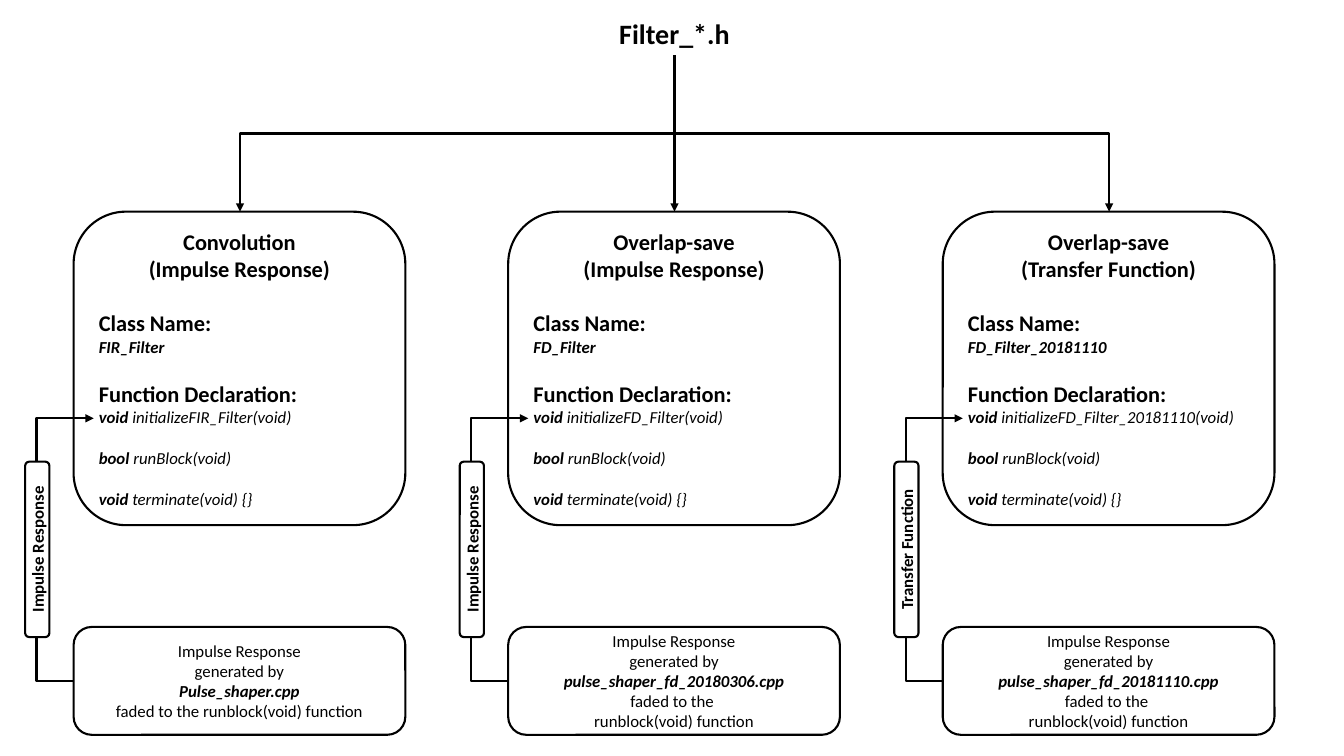
from pptx import Presentation
from pptx.dml.color import RGBColor
from pptx.enum import shapes, text
from pptx.oxml import ns
from pptx.util import Inches, Pt
from lxml import etree

BLACK = RGBColor(0x00, 0x00, 0x00)
WHITE = RGBColor(0xFF, 0xFF, 0xFF)
FONT = "Calibri"
CENTER, LEFT = text.PP_ALIGN.CENTER, text.PP_ALIGN.LEFT

# Column layout
FIRST_LEFT, COLUMN_STEP, BOX_WIDTH = 0.73, 4.31, 3.29
CLASS_TOP, CLASS_HEIGHT = 2.1, 3.11
SOURCE_TOP, SOURCE_HEIGHT = 6.22, 1.07
HEADER_BOTTOM, HEADER_CENTER = 0.55, 6.69

SPLIT_ENDING = ["faded to the ", "runblock(void) function"]
FILTERS = [
    dict(method="Convolution", domain="Impulse Response", class_name="FIR_Filter",
         source="Pulse_shaper.cpp", ending=["faded to the runblock(void) function"]),
    dict(method="Overlap-save", domain="Impulse Response", class_name="FD_Filter",
         source="pulse_shaper_fd_20180306.cpp", ending=SPLIT_ENDING),
    dict(method="Overlap-save", domain="Transfer Function", class_name="FD_Filter_20181110",
         source="pulse_shaper_fd_20181110.cpp", ending=SPLIT_ENDING),
]


def write(frame, *runs, size=12, bold=False, italic=False, align=CENTER, before=0):
    """Add one paragraph; a run is plain text or a (text, bold) pair."""
    first = frame.paragraphs[0]
    paragraph = frame.add_paragraph() if first.runs else first
    paragraph.alignment = align
    paragraph.space_before = Pt(before)
    for item in runs:
        words, weight = (item, bold) if isinstance(item, str) else item
        run = paragraph.add_run()
        run.text = words
        run.font.name, run.font.size = FONT, Pt(size)
        run.font.bold, run.font.italic = weight, italic
        run.font.color.rgb = BLACK


def add_box(slide, left, top, width, height, rotation=0):
    box = slide.shapes.add_shape(shapes.MSO_SHAPE.ROUNDED_RECTANGLE, Inches(left),
                                 Inches(top), Inches(width), Inches(height))
    box.shadow.inherit = False
    box.rotation = rotation
    box.fill.solid()
    box.fill.fore_color.rgb = WHITE
    box.line.color.rgb = BLACK
    box.line.width = Pt(1.5)
    box.text_frame.word_wrap = True
    box.text_frame.vertical_anchor = text.MSO_ANCHOR.MIDDLE
    return box.text_frame


def add_arrow(slide, start, end, preset="line", rotation=0, flip=False, bends=()):
    """Add an arrow; bends are the adjustments of a bent preset."""
    arrow = slide.shapes.add_connector(shapes.MSO_CONNECTOR.STRAIGHT,
                                       *map(Inches, (*start, *end)))
    arrow.line.color.rgb = BLACK
    arrow.line.width = Pt(1.5)
    properties = arrow._element.spPr
    frame = properties.find(ns.qn("a:xfrm"))
    if rotation:
        frame.set("rot", str(rotation * 60000))
    if flip:
        frame.set("flipH", "1")
    geometry = properties.find(ns.qn("a:prstGeom"))
    geometry.set("prst", preset)
    for number, bend in enumerate(bends, 1):
        etree.SubElement(geometry.find(ns.qn("a:avLst")), ns.qn("a:gd"),
                         name=f"adj{number}", fmla=f"val {round(bend * 100000)}")
    etree.SubElement(arrow.line._get_or_add_ln(), ns.qn("a:tailEnd"), type="triangle")
    etree.SubElement(properties, ns.qn("a:effectLst"))


def add_header(slide):
    header = slide.shapes.title
    header.left, header.top = Inches(5.89), Inches(0.11)
    header.width, header.height = Inches(1.6), Inches(0.44)
    header.text_frame.auto_size = text.MSO_AUTO_SIZE.NONE
    header.text_frame.vertical_anchor = text.MSO_ANCHOR.MIDDLE
    write(header.text_frame, "Filter_*.h", size=20, bold=True)


def add_branches(slide):
    # Side branches are upright boxes turned by a quarter around their centre
    drop = CLASS_TOP - HEADER_BOTTOM
    middle = HEADER_BOTTOM + drop / 2
    for side, rotation in ((-1, 90), (1, 270)):
        center = HEADER_CENTER + side * COLUMN_STEP / 2
        add_arrow(slide, (center - drop / 2, middle - COLUMN_STEP / 2),
                  (center + drop / 2, middle + COLUMN_STEP / 2),
                  "bentConnector3", rotation, flip=side > 0, bends=[0.5])
    add_arrow(slide, (HEADER_CENTER, HEADER_BOTTOM), (HEADER_CENTER, CLASS_TOP))


def add_class(slide, left, method, domain, class_name):
    card = add_box(slide, left, CLASS_TOP, BOX_WIDTH, CLASS_HEIGHT)
    write(card, method, size=16, bold=True)
    write(card, f"({domain})", size=16, bold=True)
    write(card, "Class Name:", size=16, bold=True, align=LEFT, before=19.5)
    write(card, class_name, bold=True, italic=True, align=LEFT)
    write(card, "Function Declaration:", size=16, bold=True, align=LEFT, before=17)
    for kind, call, gap in (("void", f"initialize{class_name}(void)", 0),
                            ("bool", "runBlock(void)", 14.6),
                            ("void", "terminate(void) {}", 14.6)):
        write(card, (kind + " ", True), (call, False), italic=True, align=LEFT, before=gap)


def add_source(slide, left, source, ending):
    card = add_box(slide, left, SOURCE_TOP, BOX_WIDTH, SOURCE_HEIGHT)
    write(card, "Impulse Response")
    write(card, "generated by")
    write(card, source, bold=True, italic=True)
    for line in ending:
        write(card, line)


def add_feed(slide, left, domain):
    # Arrow from the source box up to the initialize function, with its label
    add_arrow(slide, (left, 6.76), (left + 0.2, 4.15), "bentConnector4", bends=[-1.84, 1])
    label = add_box(slide, left - 1.23, 5.33, 1.74, 0.24, rotation=270)
    write(label, domain, bold=True)


def main():
    deck = Presentation()
    deck.slide_width, deck.slide_height = Inches(13.33), Inches(7.5)
    slide = deck.slides.add_slide(deck.slide_layouts[5])
    add_header(slide)
    add_branches(slide)
    for column, item in enumerate(FILTERS):
        left = FIRST_LEFT + column * COLUMN_STEP
        add_class(slide, left, item["method"], item["domain"], item["class_name"])
        add_source(slide, left, item["source"], item["ending"])
        add_feed(slide, left, item["domain"])
    deck.save("out.pptx")


if __name__ == "__main__":
    main()
